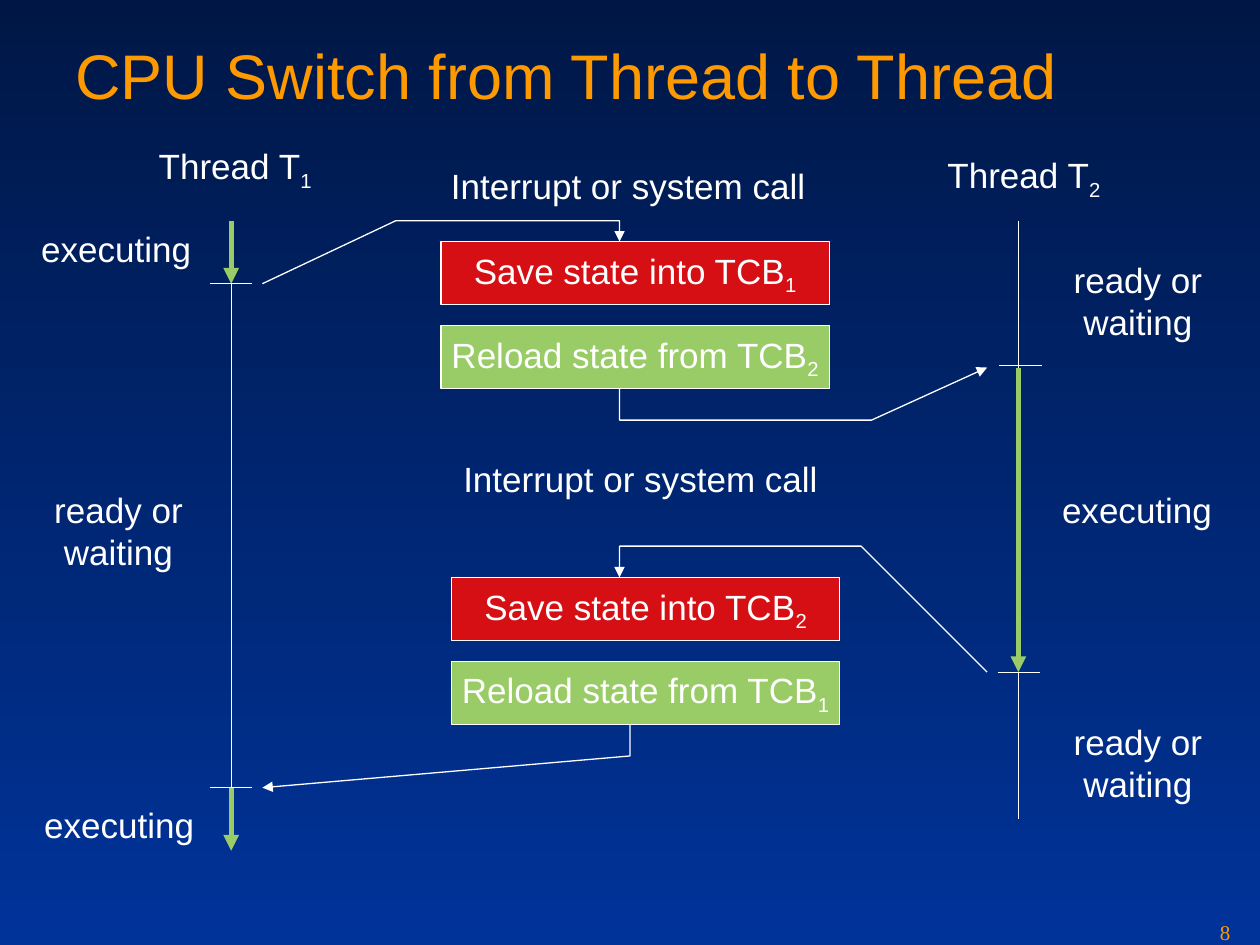
"""Draw a slide showing how the CPU switches between two threads."""
from dataclasses import dataclass
from typing import NamedTuple

from lxml import etree
from pptx import Presentation
from pptx import util as u
from pptx.dml.color import RGBColor
from pptx.enum import shapes, text
from pptx.oxml import ns


@dataclass(frozen=True)
class Theme:
    top: str = "001746"
    base: str = "003399"
    gold: str = "FE9900"
    white: str = "FFFFFF"
    red: str = "D50F14"
    green: str = "99CC66"
    sans: str = "Arial"
    serif: str = "Times New Roman"
    title: int = 36
    body: int = 20
    small: int = 12
    thin: float = 0.75
    thick: float = 3


class Label(NamedTuple):
    words: str
    left: float
    top: float
    width: float
    height: float
    mid: bool = False


class Switch(NamedTuple):
    left: float
    top: float
    old: int
    new: int


class Span(NamedTuple):
    x: float
    start: float
    end: float
    runs: bool = False


class Tick(NamedTuple):
    left: float
    right: float
    y: float


class Route(NamedTuple):
    points: tuple[tuple[float, float], ...]


THEME = Theme()
CALL = "Interrupt or system call"
READY = "ready or\nwaiting"
RUN = "executing"

LABELS = (
    Label("Thread T_1", 2.95, 2.79, 3.61, 1.22),
    Label("Thread T_2", 18.85, 2.97, 3.61, 1.22),
    Label(RUN, 0.58, 4.47, 3.53, 1.12),
    Label(RUN, 0.64, 16.08, 3.53, 1.12),
    Label(RUN, 21.16, 9.73, 3.53, 1.12),
    Label(READY, 0.84, 9.73, 3.1, 1.96, True),
    Label(READY, 21.39, 5.08, 3.1, 1.96, True),
    Label(READY, 21.39, 14.4, 3.1, 1.96, True),
    Label(CALL, 8.84, 3.2, 7.65, 1.12),
    Label(CALL, 9.09, 9.09, 7.65, 1.12),
)
SWITCHES = (Switch(8.89, 4.87, 1, 2), Switch(9.1, 11.64, 2, 1))
SPANS = (
    Span(4.66, 4.45, 5.72, True),
    Span(4.66, 5.72, 15.88),
    Span(4.66, 15.88, 17.15, True),
    Span(20.53, 4.45, 7.41),
    Span(20.53, 7.41, 13.55, True),
    Span(20.53, 13.55, 16.51),
)
TICKS = (
    Tick(4.23, 5.08, 5.72),
    Tick(4.23, 5.08, 15.88),
    Tick(20.14, 21.01, 7.37),
    Tick(20.11, 20.96, 13.55),
)
ROUTES = (
    Route(((5.29, 5.72), (7.98, 4.45), (12.49, 4.45), (12.49, 4.87))),
    Route(((12.49, 7.83), (12.49, 8.47), (17.57, 8.47), (19.9, 7.41))),
    Route(((19.9, 13.55), (17.36, 11.01), (12.49, 11.01), (12.49, 11.64))),
    Route(((12.7, 14.61), (12.7, 15.24), (5.29, 15.88))),
)


def write(shape, words: str, *, size: int = THEME.body, font: str = THEME.sans,
          color: str = THEME.white, mid: bool = False, wrap: bool = False) -> None:
    """Fill a shape with text; an underscore starts a subscript."""
    frame = shape.text_frame
    frame.word_wrap = wrap
    para = frame.paragraphs[0]
    para.alignment = text.PP_ALIGN.CENTER if mid else text.PP_ALIGN.LEFT
    for row, line in enumerate(words.split("\n")):
        if row:
            para.add_line_break()
        for part, piece in enumerate(line.split("_")):
            run = para.add_run()
            run.text = piece
            run.font.size = u.Pt(size)
            run.font.name = font
            run.font.color.rgb = RGBColor.from_string(color)
            if part:
                run.font._element.set("baseline", "-25000")


def place(slide, item: Label, **style):
    """Add a text box for a label."""
    box = slide.shapes.add_textbox(*map(u.Cm, item[1:5]))
    write(box, item.words, mid=item.mid, **style)
    return box


def stroke(shape, color: str = THEME.white, width: float = THEME.thin,
           arrow: bool = False) -> None:
    """Set the outline of a shape and its arrowhead."""
    shape.line.color.rgb = RGBColor.from_string(color)
    shape.line.width = u.Pt(width)
    if arrow:
        line = shape._element.spPr.find(ns.qn("a:ln"))
        etree.SubElement(line, ns.qn("a:tailEnd"), type="triangle")


def rule(slide, start: tuple[float, float], end: tuple[float, float], **style) -> None:
    """Draw a straight line."""
    line = slide.shapes.add_connector(
        shapes.MSO_CONNECTOR.STRAIGHT, *map(u.Cm, start + end))
    stroke(line, **style)
    etree.SubElement(line._element.spPr, ns.qn("a:effectLst"))


def trace(slide, route: Route) -> None:
    """Draw a bent arrow through the points of a route."""
    first, *rest = [(u.Cm(x), u.Cm(y)) for x, y in route.points]
    pen = slide.shapes.build_freeform(*first)
    pen.add_line_segments(rest, close=False)
    shape = pen.convert_to_shape()
    shape.fill.background()
    shape.shadow.inherit = False
    stroke(shape, arrow=True)


def block(slide, words: str, left: float, top: float, fill: str) -> None:
    """Draw one step of a switch as a filled box."""
    shape = slide.shapes.add_shape(
        shapes.MSO_SHAPE.RECTANGLE, *map(u.Cm, (left, top, 7.83, 1.27)))
    shape.fill.solid()
    shape.fill.fore_color.rgb = RGBColor.from_string(fill)
    shape.shadow.inherit = False
    stroke(shape)
    shape.text_frame.vertical_anchor = text.MSO_ANCHOR.MIDDLE
    write(shape, words, mid=True)


def main() -> None:
    """Build the slide and save it."""
    deck = Presentation()
    deck.slide_width, deck.slide_height = u.Cm(25.4), u.Cm(19.05)
    slide = deck.slides.add_slide(deck.slide_layouts[6])
    fill = slide.background.fill
    fill.gradient()
    fill.gradient_angle = 270
    for stop, color in zip(fill.gradient_stops, (THEME.top, THEME.base)):
        stop.color.rgb = RGBColor.from_string(color)

    place(slide, Label("CPU Switch from Thread to Thread", 1.27, 0.61, 22.86, 3.18),
          size=THEME.title, color=THEME.gold, wrap=True)
    for item in LABELS:
        box = place(slide, item)
        box.text_frame.auto_size = text.MSO_AUTO_SIZE.SHAPE_TO_FIT_TEXT
    for span in SPANS:
        style = dict(color=THEME.green, width=THEME.thick, arrow=True) if span.runs else {}
        rule(slide, (span.x, span.start), (span.x, span.end), **style)
    for tick in TICKS:
        rule(slide, (tick.left, tick.y), (tick.right, tick.y))
    for step in SWITCHES:
        block(slide, f"Save state into TCB_{step.old}", step.left, step.top, THEME.red)
        block(slide, f"Reload state from TCB_{step.new}", step.left, step.top + 1.69,
              THEME.green)
    for route in ROUTES:
        trace(slide, route)
    place(slide, Label("8", 24.34, 18.42, 1.06, 0.64),
          size=THEME.small, font=THEME.serif, color=THEME.gold, wrap=True)
    deck.save("out.pptx")


if __name__ == "__main__":
    main()
